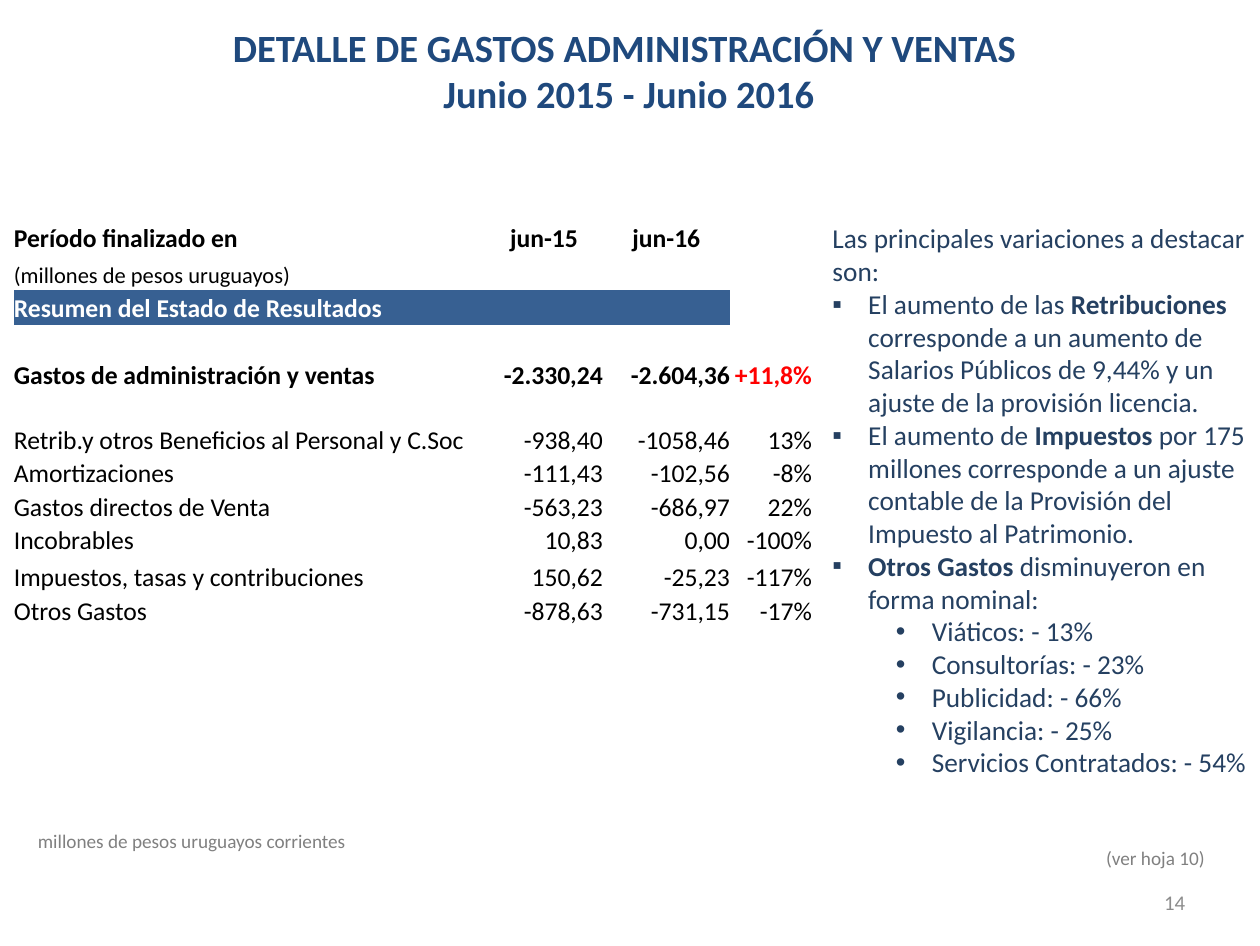
from dataclasses import dataclass

from lxml import etree
from pptx import Presentation
from pptx.dml.color import RGBColor
from pptx.enum.text import MSO_ANCHOR, MSO_AUTO_SIZE, PP_ALIGN
from pptx.oxml.ns import qn
from pptx.util import Inches, Pt

LEFT, CENTER, RIGHT = PP_ALIGN.LEFT, PP_ALIGN.CENTER, PP_ALIGN.RIGHT
TOP, MIDDLE, BOTTOM = MSO_ANCHOR.TOP, MSO_ANCHOR.MIDDLE, MSO_ANCHOR.BOTTOM
FIT_SHAPE, NO_FIT = MSO_AUTO_SIZE.SHAPE_TO_FIT_TEXT, MSO_AUTO_SIZE.NONE
PLAIN_TABLE_STYLE = "{2D5ABB26-0587-4C30-8999-92F81FD0307C}"


@dataclass(frozen=True)
class Theme:
    font: str = "Calibri"
    title: str = "1F497D"
    comment: str = "254061"
    note: str = "808080"
    page: str = "8C8C8C"
    ink: str = "000000"
    paper: str = "FFFFFF"
    band: str = "376092"
    alert: str = "FF0000"
    title_size: int = 24
    comment_size: int = 17
    table_size: int = 16
    unit_size: int = 14
    page_size: int = 13
    note_size: int = 12


# Each comment is (level, bullet, runs); each run is (text, bold).
COMMENTS = [
    (0, None, [("Las principales variaciones a destacar son:", False)]),
    (0, "▪", [("El aumento de las ", False), ("Retribuciones", True),
              (" corresponde a un aumento de Salarios Públicos de 9,44% "
               "y un ajuste de la provisión licencia.", False)]),
    (0, "▪", [("El aumento de ", False), ("Impuestos", True),
              (" por 175 millones corresponde a un ajuste contable "
               "de la Provisión del Impuesto al Patrimonio.", False)]),
    (0, "▪", [("Otros Gastos", True), (" disminuyeron en forma nominal:", False)]),
] + [(1, "•", [(text, False)]) for text in (
    "Viáticos: - 13%", "Consultorías: - 23%", "Publicidad: - 66%",
    "Vigilancia: - 25%", "Servicios Contratados: - 54%")]

EXPENSES = [
    ("Período finalizado en", "jun-15", "jun-16", ""),
    ("(millones de pesos uruguayos)", "", "", ""),
    ("Resumen del Estado de Resultados", "", "", ""),
    ("", "", "", ""),
    ("Gastos de administración y ventas", "-2.330,24", "-2.604,36", "+11,8%"),
    ("Retrib.y otros Beneficios al Personal y C.Soc", "-938,40", "-1058,46", "13%"),
    ("Amortizaciones", "-111,43", "-102,56", "-8%"),
    ("Gastos directos de Venta", "-563,23", "-686,97", "22%"),
    ("Incobrables", "10,83", "0,00", "-100%"),
    ("Impuestos, tasas y contribuciones", "150,62", "-25,23", "-117%"),
    ("Otros Gastos", "-878,63", "-731,15", "-17%"),
]
COLUMN_WIDTHS = [4.08, 1.02, 1.1, 0.71]
ROW_HEIGHTS = [0.31, 0.31, 0.3, 0.29, 0.29, 0.56, 0.29, 0.29, 0.29, 0.32, 0.29]
HEADER_ROW, UNIT_ROW, BAND_ROW, TOTAL_ROW = 0, 1, 2, 4
CHANGE_COLUMN = 3


class ExpenseSlide:
    def __init__(self, presentation, theme):
        self.theme = theme
        self.slide = presentation.slides.add_slide(presentation.slide_layouts[6])

    def style(self, paragraph, size, color, bold=None, align=LEFT):
        paragraph.alignment = align
        font = paragraph.font
        font.name, font.size, font.bold = self.theme.font, Pt(size), bold
        font.color.rgb = RGBColor.from_string(color)

    def bullet(self, paragraph, character, level):
        paragraph.level = level
        properties = paragraph._p.get_or_add_pPr()
        properties.set("marL", str(Inches(0.31 + 0.55 * level)))
        properties.set("indent", str(Inches(-0.31)))
        etree.SubElement(properties, qn("a:buFont")).set("typeface", "Arial")
        etree.SubElement(properties, qn("a:buChar")).set("char", character)

    def frame(self, box, anchor=TOP, fit=FIT_SHAPE):
        text_frame = self.slide.shapes.add_textbox(*map(Inches, box)).text_frame
        text_frame.word_wrap = True
        text_frame.auto_size = fit
        text_frame.vertical_anchor = anchor
        return text_frame

    def text(self, box, text, size, color, bold=None, align=LEFT, anchor=TOP, fit=FIT_SHAPE):
        text_frame = self.frame(box, anchor, fit)
        text_frame.text = text
        for paragraph in text_frame.paragraphs:
            self.style(paragraph, size, color, bold, align)

    def comments(self, box, comments):
        text_frame = self.frame(box)
        for index, (level, character, runs) in enumerate(comments):
            paragraph = text_frame.add_paragraph() if index else text_frame.paragraphs[0]
            if character:
                self.bullet(paragraph, character, level)
            self.style(paragraph, self.theme.comment_size, self.theme.comment)
            for text, bold in runs:
                run = paragraph.add_run()
                run.text = text
                run.font.bold = bold

    def cell(self, cell, text, row, column):
        theme = self.theme
        in_band = row == BAND_ROW and column != CHANGE_COLUMN
        cell.fill.solid()
        cell.fill.fore_color.rgb = RGBColor.from_string(theme.band if in_band else theme.paper)
        cell.margin_left = cell.margin_right = cell.margin_top = cell.margin_bottom = 0
        cell.vertical_anchor = BOTTOM
        cell.text = text

        color = theme.paper if in_band else theme.ink
        if (row, column) == (TOTAL_ROW, CHANGE_COLUMN):
            color = theme.alert
        align = LEFT if column == 0 else CENTER if row == HEADER_ROW else RIGHT
        size = theme.unit_size if row == UNIT_ROW else theme.table_size
        bold = row in (HEADER_ROW, BAND_ROW, TOTAL_ROW)
        self.style(cell.text_frame.paragraphs[0], size, color, bold, align)

    def table(self, left, top, rows):
        table = self.slide.shapes.add_table(
            len(rows), len(COLUMN_WIDTHS), Inches(left), Inches(top),
            Inches(sum(COLUMN_WIDTHS)), Inches(sum(ROW_HEIGHTS))).table
        table.first_row = table.horz_banding = False
        table._tbl.tblPr.find(qn("a:tableStyleId")).text = PLAIN_TABLE_STYLE
        for column, width in zip(table.columns, COLUMN_WIDTHS):
            column.width = Inches(width)
        for row, height in zip(table.rows, ROW_HEIGHTS):
            row.height = Inches(height)
        for row, values in enumerate(rows):
            for column, value in enumerate(values):
                self.cell(table.cell(row, column), value, row, column)


def main():
    presentation = Presentation()
    presentation.slide_width, presentation.slide_height = Inches(10.91), Inches(8.19)
    theme = Theme()
    page = ExpenseSlide(presentation, theme)
    page.text((0.1, 0.16, 10.69, 0.91),
              "DETALLE DE GASTOS ADMINISTRACIÓN Y VENTAS \nJunio 2015 - Junio 2016",
              theme.title_size, theme.title, bold=True, align=CENTER)
    page.text((0.23, 7.13, 3.86, 0.3), "millones de pesos uruguayos corrientes",
              theme.note_size, theme.note)
    page.text((7.82, 7.59, 2.54, 0.44), "14", theme.page_size, theme.page,
              align=RIGHT, anchor=MIDDLE, fit=NO_FIT)
    page.text((6.12, 7.28, 4.41, 0.3), "(ver hoja 10)",
              theme.note_size, theme.note, align=RIGHT)
    page.comments((7.11, 1.87, 3.8, 5.25), COMMENTS)
    page.table(0.12, 1.89, EXPENSES)
    presentation.save("out.pptx")


if __name__ == "__main__":
    main()
